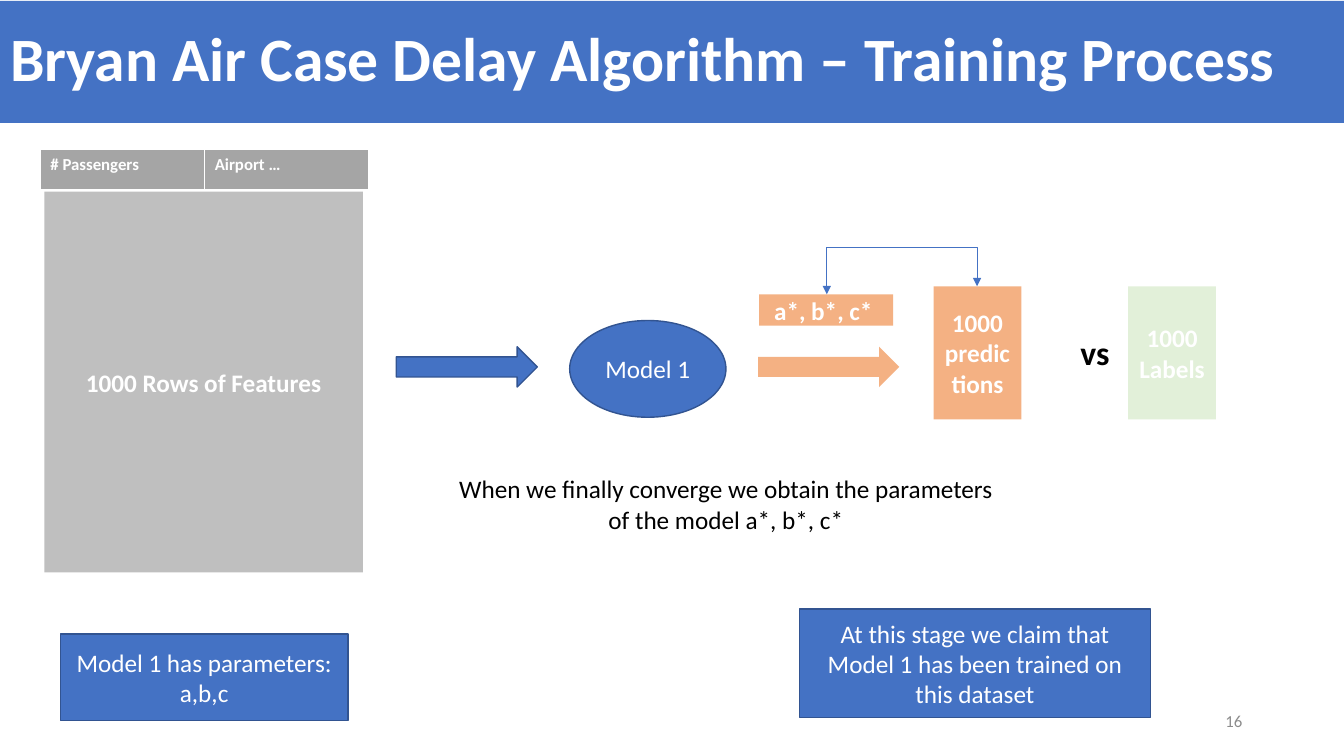
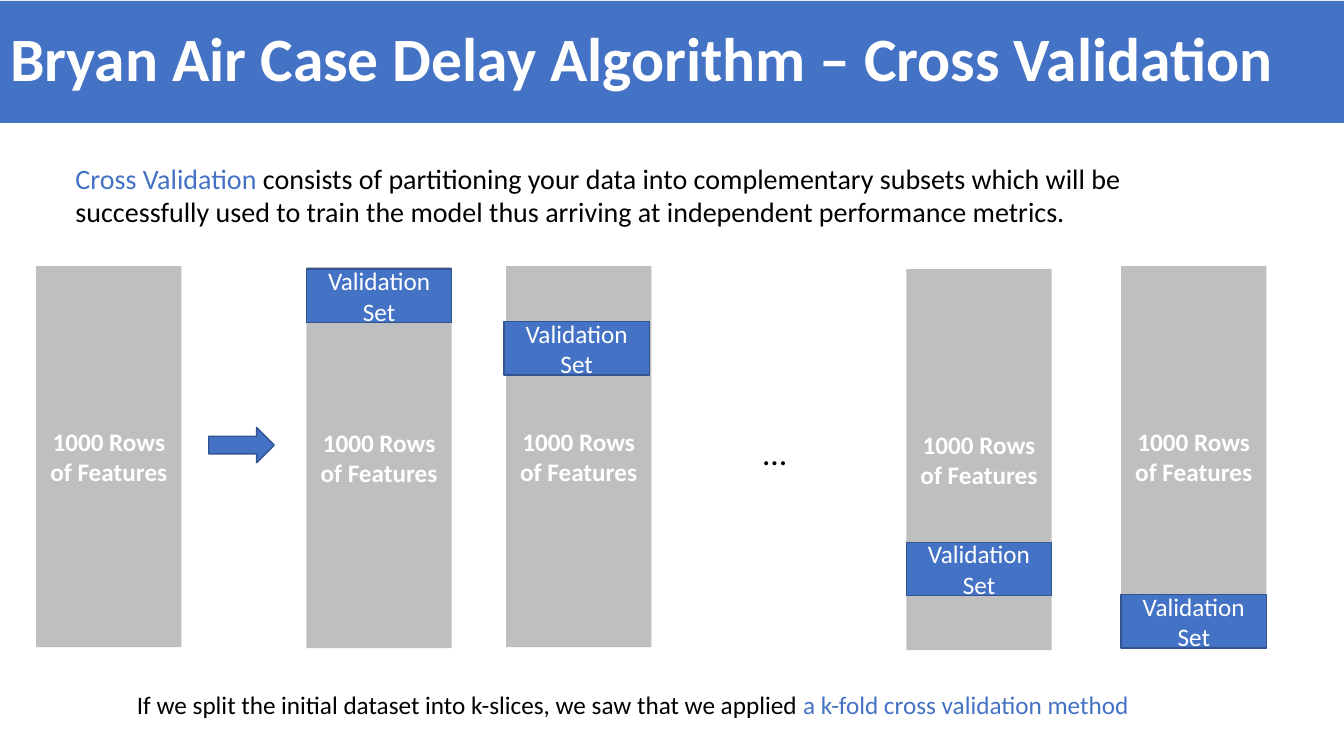
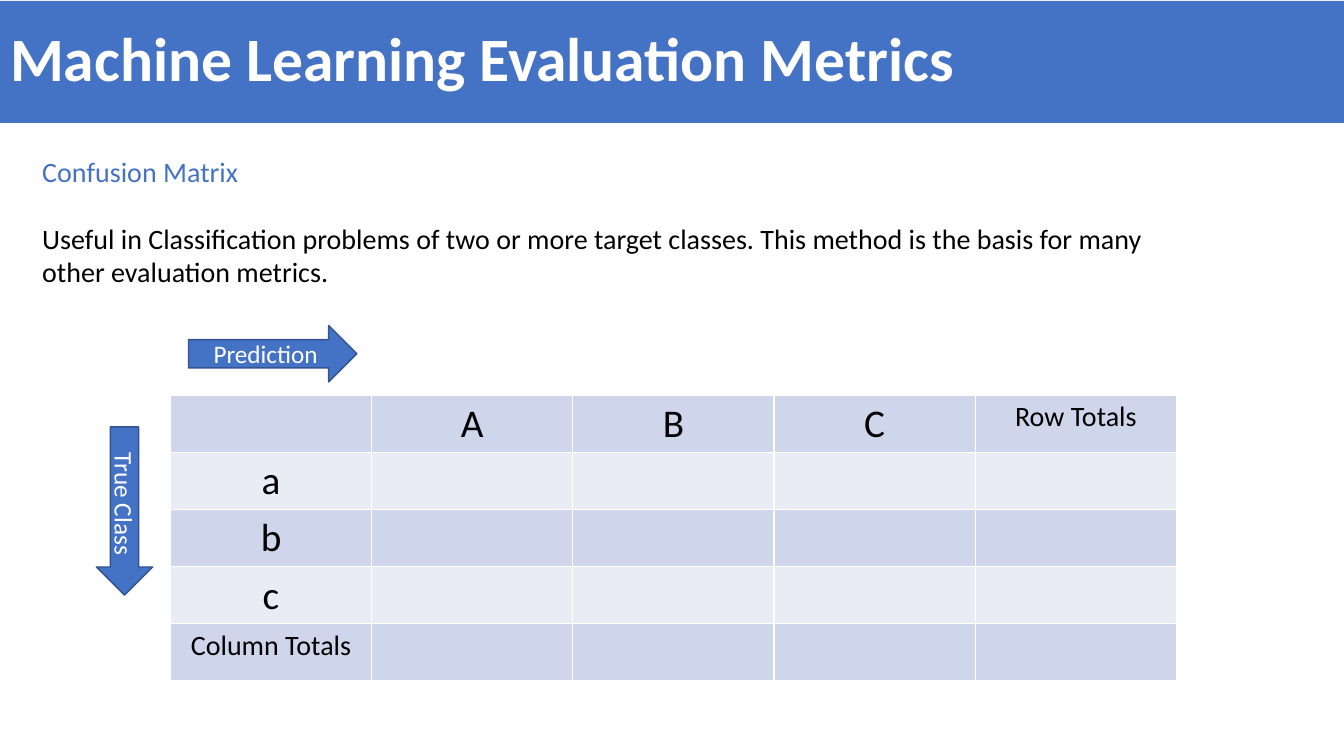
from dataclasses import dataclass
from typing import Any, NamedTuple, Optional, Sequence

from lxml.etree import SubElement
from pptx import Presentation
from pptx.dml.color import RGBColor
from pptx.enum.shapes import MSO_CONNECTOR, MSO_SHAPE as Preset
from pptx.enum.text import MSO_ANCHOR as Anchor, MSO_AUTO_SIZE, PP_ALIGN as Align
from pptx.oxml.ns import qn
from pptx.util import Inches, Pt


@dataclass(frozen=True)
class Theme:
    font: str = "Calibri"
    blue: str = "4472C4"
    outline: str = "325491"
    orange: str = "F4B183"
    green: str = "E2F0D9"
    grey: str = "BFBFBF"
    header: str = "A5A5A5"
    number: str = "8C8C8C"
    band_dark: str = "CFD5EA"
    band_light: str = "E9EBF5"
    white: str = "FFFFFF"
    black: str = "000000"
    title_size: int = 44
    matrix_size: int = 28
    large_size: int = 24
    lead_size: int = 20
    body_size: int = 18
    small_size: int = 12


THEME = Theme()


class Box(NamedTuple):
    left: float
    top: float
    width: float
    height: float

    def lengths(self) -> list[int]:
        return [Inches(value) for value in self]


class Span(NamedTuple):
    text: str
    color: str = THEME.black


@dataclass(frozen=True)
class Block:
    """A filled preset shape with an optional centred label."""
    box: Box
    label: str = ""
    fill: str = THEME.blue
    preset: Preset = Preset.RECTANGLE
    outlined: bool = True
    bold: bool = False
    rotation: int = 0


@dataclass(frozen=True)
class Caption:
    """Unboxed text: one sequence of spans for each paragraph."""
    box: Box
    paragraphs: Sequence[Sequence[Span]]
    size: int = THEME.body_size
    align: Align = Align.LEFT
    anchor: Anchor = Anchor.TOP
    bold: bool = False
    gap: int = 0


class Fold(NamedTuple):
    left: float
    top: float
    slice_left: float
    slice_top: float


def add_run(paragraph: Any, span: Span, size: int, bold: bool = False) -> None:
    run = paragraph.add_run()
    run.text = span.text
    formats = {"name": THEME.font, "size": Pt(size), "bold": bold}
    for attribute, value in formats.items():
        setattr(run.font, attribute, value)
    run.font.color.rgb = RGBColor.from_string(span.color)


def paint(target: Any, color: str) -> None:
    target.fill.solid()
    target.fill.fore_color.rgb = RGBColor.from_string(color)


def add_titled_slide(deck: Any, title: str) -> Any:
    slide = deck.slides.add_slide(deck.slide_layouts[5])
    band = slide.shapes.title
    band.left, band.top, band.width, band.height = Box(0, 0.01, 13.33, 1.21).lengths()
    paint(band, THEME.blue)
    frame = band.text_frame
    frame.auto_size = MSO_AUTO_SIZE.NONE
    frame.vertical_anchor = Anchor.MIDDLE
    paragraph = frame.paragraphs[0]
    paragraph.alignment = Align.LEFT
    paragraph.line_spacing = 0.9
    add_run(paragraph, Span(title, THEME.white), THEME.title_size, True)
    return slide


def draw_block(slide: Any, block: Block) -> None:
    shape = slide.shapes.add_shape(block.preset, *block.box.lengths())
    shape.shadow.inherit = False
    shape.rotation = block.rotation
    paint(shape, block.fill)
    if block.outlined:
        shape.line.color.rgb = RGBColor.from_string(THEME.outline)
        shape.line.width = Pt(1)
    else:
        shape.line.fill.background()
    if block.label:
        shape.text_frame.word_wrap = True
        paragraph = shape.text_frame.paragraphs[0]
        paragraph.alignment = Align.CENTER
        add_run(paragraph, Span(block.label, THEME.white), THEME.body_size, block.bold)


def draw_caption(slide: Any, caption: Caption) -> None:
    frame = slide.shapes.add_textbox(*caption.box.lengths()).text_frame
    frame.word_wrap = True
    frame.vertical_anchor = caption.anchor
    for index, spans in enumerate(caption.paragraphs):
        paragraph = frame.add_paragraph() if index else frame.paragraphs[0]
        paragraph.alignment = caption.align
        if index:
            paragraph.space_before = Pt(caption.gap)
        for span in spans:
            add_run(paragraph, span, caption.size, caption.bold)


def add_plain_table(slide: Any, box: Box, rows: int, columns: int) -> Any:
    """Add an evenly divided table without style banding."""
    table = slide.shapes.add_table(rows, columns, *box.lengths()).table
    table.first_row = table.horz_banding = False
    for column in table.columns:
        column.width = Inches(box.width / columns)
    for row in table.rows:
        row.height = Inches(box.height / rows)
    return table


def fill_cell(cell: Any, text: str, fill: str, font_color: str, size: int,
              align: Align = Align.LEFT, bold: bool = False, bottom: int = 1) -> None:
    properties = cell._tc.get_or_add_tcPr()
    for side, points in {"lnL": 1, "lnR": 1, "lnT": 1, "lnB": bottom}.items():
        border = SubElement(properties, qn(f"a:{side}"), w=str(Pt(points)))
        solid = SubElement(border, qn("a:solidFill"))
        SubElement(solid, qn("a:srgbClr"), val=THEME.white)
    paint(cell, fill)
    if text:
        paragraph = cell.text_frame.paragraphs[0]
        paragraph.alignment = align
        add_run(paragraph, Span(text, font_color), size, bold)


def draw_feedback_loop(slide: Any) -> None:
    """Link the parameters and the predictions with a bracket-shaped arrow."""
    left, top, drop, reach, rise = 8.2, 2.84, 0.08, 1.49, 0.47
    # The elbow is laid out upright about its centre, then turned a quarter.
    center_x, center_y = left + reach / 2, top + drop / 2
    loop = slide.shapes.add_connector(
        MSO_CONNECTOR.ELBOW,
        Inches(center_x + drop / 2), Inches(center_y + reach / 2),
        Inches(center_x - drop / 2), Inches(center_y - reach / 2))
    loop.line.color.rgb = RGBColor.from_string(THEME.blue)
    loop.line.width = Pt(0.5)
    properties = loop._element.spPr
    properties.find(qn("a:xfrm")).set("rot", str(90 * 60000))
    guides = properties.find(qn("a:prstGeom")).find(qn("a:avLst"))
    bend = round((rise / drop) * 100000)
    SubElement(guides, qn("a:gd"), name="adj1", fmla=f"val {bend}")
    line = properties.find(qn("a:ln"))
    for end in ("headEnd", "tailEnd"):
        SubElement(line, qn(f"a:{end}"), type="triangle")
    SubElement(properties, qn("a:effectLst"))


def build_training(deck: Any) -> None:
    slide = add_titled_slide(deck, "Bryan Air Case Delay Algorithm – Training Process")
    headings = ("# Passengers", "Airport …")
    table = add_plain_table(slide, Box(0.4, 1.48, 3.26, 0.41), 1, len(headings))
    for cell, heading in zip(table.rows[0].cells, headings):
        fill_cell(cell, heading, THEME.header, THEME.white, THEME.small_size,
                  bold=True, bottom=3)
    arrow_top, arrow_size = 3.44, (1.4, 0.4)
    data_top, data_size = 2.84, (0.87, 1.32)
    for block in (
        Block(Box(0.44, 1.9, 3.16, 3.78), "1000 Rows of Features", THEME.grey,
              outlined=False, bold=True),
        Block(Box(11.19, data_top, *data_size), "1000 Labels", THEME.green,
              outlined=False, bold=True),
        Block(Box(3.93, arrow_top, *arrow_size), preset=Preset.RIGHT_ARROW),
        Block(Box(5.65, 3.18, 1.55, 0.96), "Model 1", preset=Preset.OVAL),
        Block(Box(9.26, data_top, *data_size), "1000 predictions", THEME.orange,
              outlined=False, bold=True),
        Block(Box(7.52, arrow_top, *arrow_size), fill=THEME.orange,
              preset=Preset.RIGHT_ARROW, outlined=False),
        Block(Box(0.6, 6.29, 2.85, 0.86), "Model 1 has parameters: a,b,c"),
        Block(Box(7.53, 2.92, 1.33, 0.31), "a*, b*, c* ", THEME.orange,
              outlined=False, bold=True),
        Block(Box(7.93, 6.04, 3.48, 1.08),
              "At this stage we claim that Model 1 has been trained on this dataset"),
    ):
        draw_block(slide, block)
    draw_feedback_loop(slide)
    for caption in (
        Caption(Box(10.53, 3.24, 0.66, 0.5), [[Span("vs")]], THEME.large_size,
                Align.CENTER, bold=True),
        Caption(Box(4.37, 4.65, 5.66, 0.71), [[Span(
            "When we finally converge we obtain the parameters "
            "of the model a*, b*, c*")]], align=Align.CENTER),
        Caption(Box(9.42, 6.95, 3, 0.4), [[Span("16", THEME.number)]],
                THEME.small_size, Align.RIGHT, Anchor.MIDDLE),
    ):
        draw_caption(slide, caption)


def build_cross_validation(deck: Any) -> None:
    slide = add_titled_slide(deck, "Bryan Air Case Delay Algorithm – Cross Validation")
    folds = (
        Fold(3.04, 2.65, 3.04, 2.67),
        Fold(5.02, 2.64, 5.0, 3.19),
        Fold(8.99, 2.67, 8.99, 5.38),
        Fold(11.12, 2.64, 11.12, 5.9),
    )
    width, features_height, slice_height = 1.44, 3.78, 0.53
    dataset_corners = [(0.36, 2.64)] + [(fold.left, fold.top) for fold in folds]
    for left, top in dataset_corners:
        draw_block(slide, Block(Box(left, top, width, features_height),
                                "1000 Rows of Features", THEME.grey,
                                outlined=False, bold=True))
    for fold in folds:
        draw_block(slide, Block(Box(fold.slice_left, fold.slice_top, width, slice_height),
                                "Validation Set"))
    draw_block(slide, Block(Box(2.07, 4.24, 0.65, 0.35), preset=Preset.RIGHT_ARROW))
    for caption in (
        Caption(Box(0.65, 1.55, 11.58, 0.77), [[
            Span("Cross Validation ", THEME.blue),
            Span("consists of partitioning your data into complementary subsets "
                 "which will be successfully used to train the model thus arriving "
                 "at independent performance metrics.")]], THEME.lead_size),
        Caption(Box(7.08, 4.24, 1.21, 0.5), [[Span("…")]], THEME.large_size, Align.CENTER),
        Caption(Box(1.26, 6.79, 11.31, 0.4), [[
            Span("If we split the initial dataset into k-slices, we saw that we applied "),
            Span("a k-fold cross validation method", THEME.blue)]]),
    ):
        draw_caption(slide, caption)


def build_metrics(deck: Any) -> None:
    slide = add_titled_slide(deck, "Machine Learning Evaluation Metrics")
    draw_caption(slide, Caption(Box(0.32, 1.48, 11.51, 1.45), [
        [Span("Confusion Matrix", THEME.blue)],
        [Span("Useful in Classification problems of two or more target classes. "
              "This method is the basis for many other evaluation metrics.")],
    ], THEME.lead_size, gap=24))
    predicted = ("", "A", "B", "C", "Row Totals")
    actual = ("", "a", "b", "c", "Column Totals")
    table = add_plain_table(slide, Box(1.69, 3.92, 9.98, 2.83), len(actual), len(predicted))
    for row_index, row in enumerate(table.rows):
        band = THEME.band_light if row_index % 2 else THEME.band_dark
        for column_index, cell in enumerate(row.cells):
            text: Optional[str] = ""
            if row_index == 0:
                text = predicted[column_index]
            elif column_index == 0:
                text = actual[row_index]
            size = THEME.lead_size if "Totals" in text else THEME.matrix_size
            fill_cell(cell, text, band, THEME.black, size, Align.CENTER)
    axis_size = (1.67, 0.56)
    draw_block(slide, Block(Box(1.87, 3.23, *axis_size), "Prediction",
                            preset=Preset.RIGHT_ARROW))
    draw_block(slide, Block(Box(0.4, 4.79, *axis_size), "True Class",
                            preset=Preset.RIGHT_ARROW, rotation=90))


def main() -> None:
    deck = Presentation()
    deck.slide_width, deck.slide_height = Inches(13.33), Inches(7.5)
    for build in (build_training, build_cross_validation, build_metrics):
        build(deck)
    deck.save("out.pptx")


if __name__ == "__main__":
    main()
